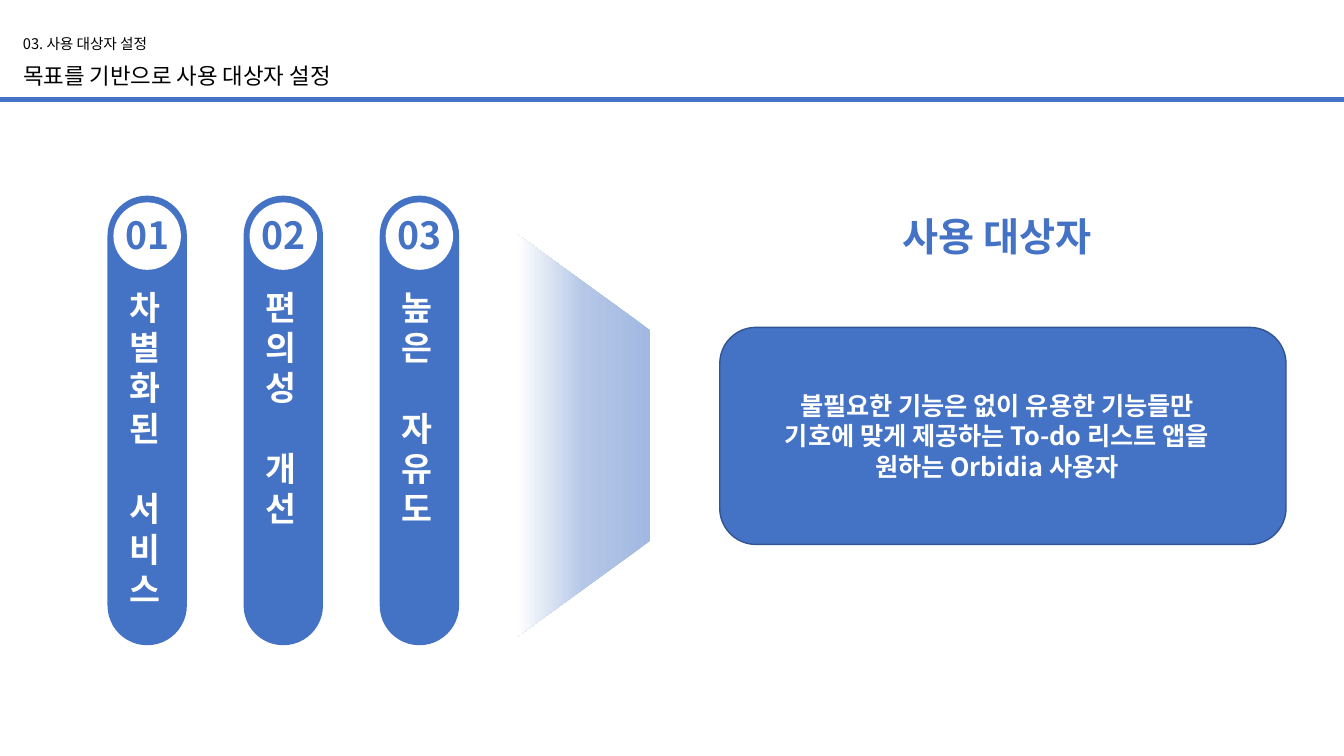
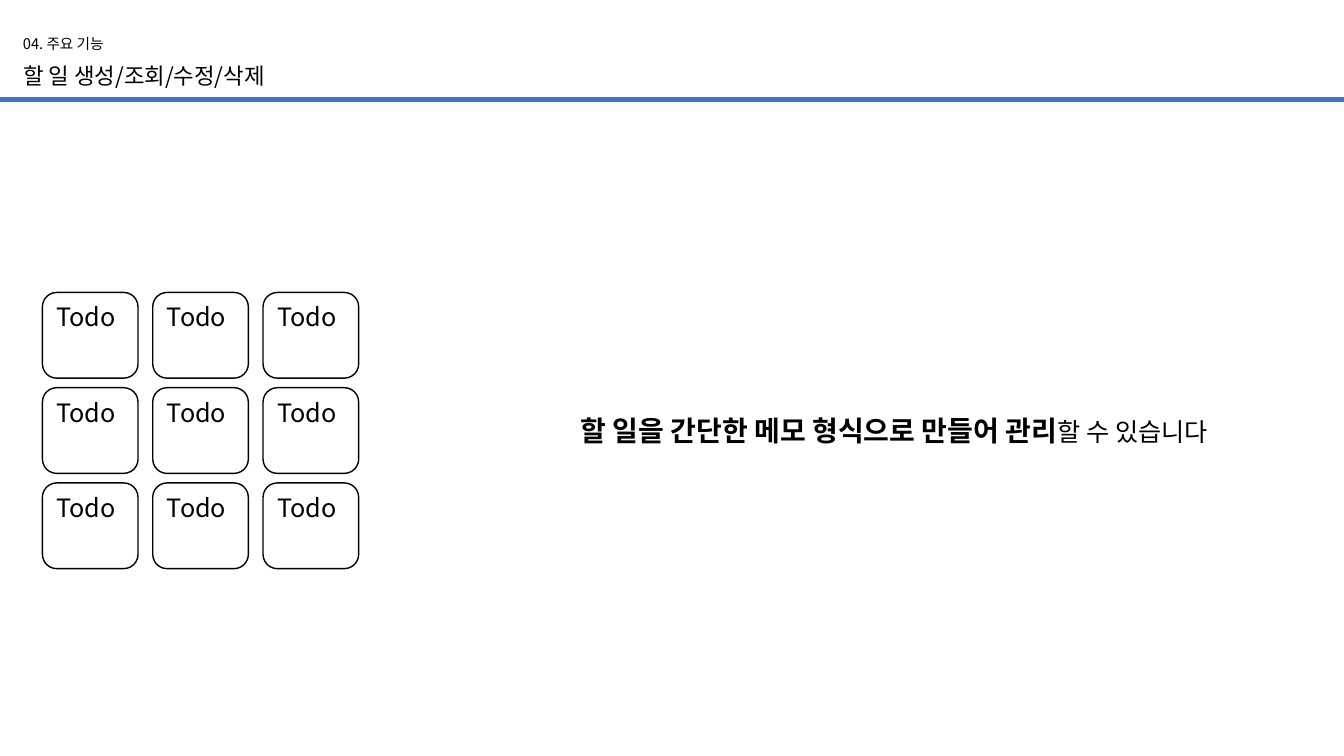
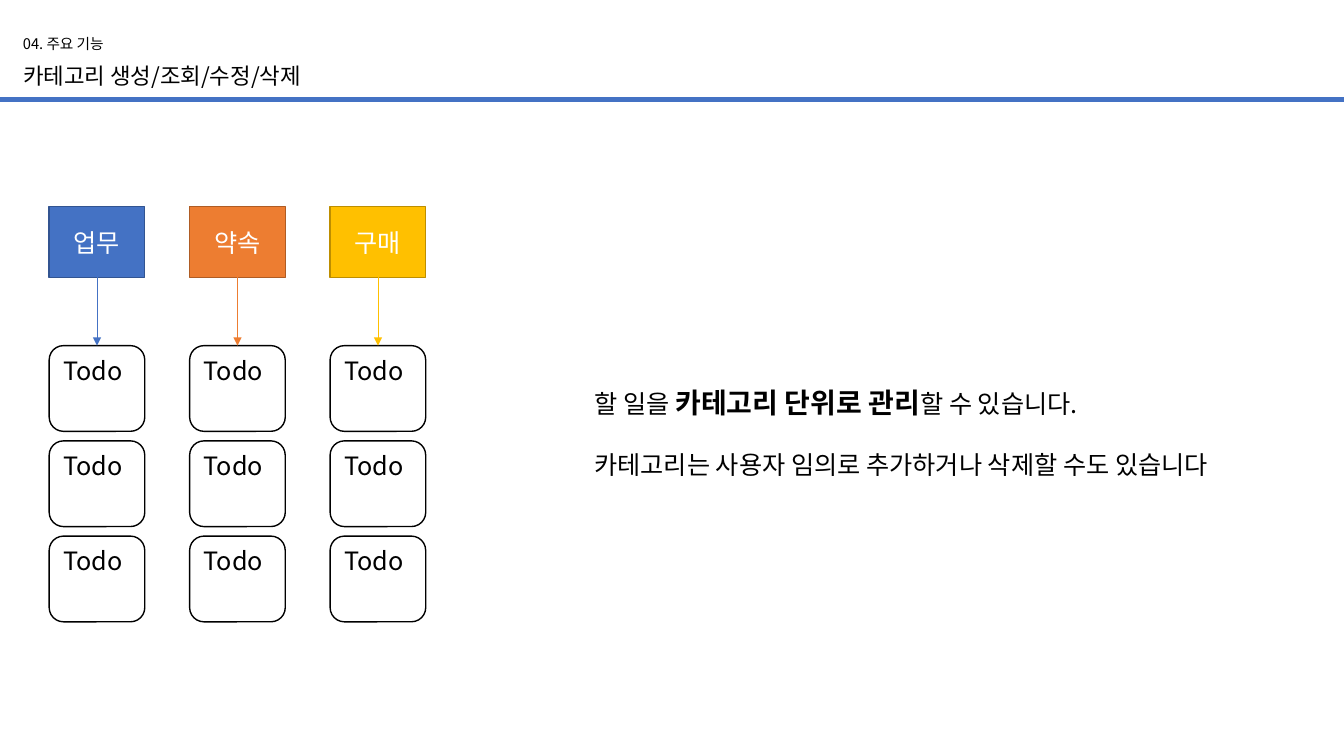
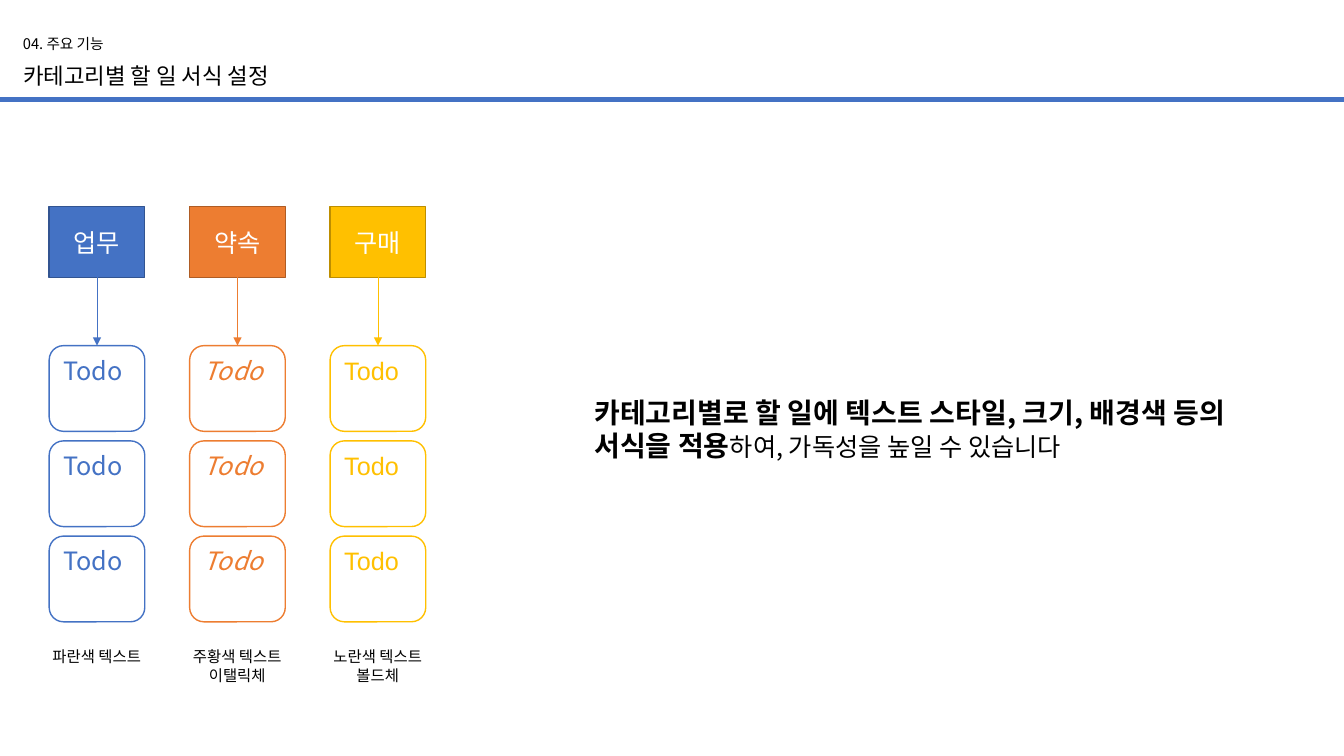
import dataclasses

import pptx
import pptx.dml.color
import pptx.enum.shapes
import pptx.enum.text
import pptx.oxml
import pptx.oxml.ns
import pptx.util
from lxml import etree

Cm = pptx.util.Cm
Pt = pptx.util.Pt
qn = pptx.oxml.ns.qn
Kind = pptx.enum.shapes.MSO_SHAPE
Anchor = pptx.enum.text.MSO_ANCHOR
Align = pptx.enum.text.PP_ALIGN


@dataclasses.dataclass(frozen=True)
class Theme:
    font: str = "Noto Sans CJK KR"
    plain: str = "Arial"
    black: str = "000000"
    white: str = "FFFFFF"
    blue: str = "4472C4"
    navy: str = "325491"
    orange: str = "ED7D31"
    rust: str = "AF5C24"
    gold: str = "FFC000"
    ochre: str = "BD8E00"
    fade: tuple = ((0, "A2B8E1"), (50, "B4C7E7"), (100, "FFFFFF"))
    tiny: float = 10.5
    note: float = 11
    title: float = 16
    text: float = 18
    strong: float = 20
    tall: float = 24
    num: float = 26.7
    head: float = 28
    lead: float = 1.2


T = Theme()

GOALS = [("01", ["차별화된", "서비스"]), ("02", ["편의성", "개선"]), ("03", ["높은", "자유도"])]
USER = "사용 대상자"
WHO = [
    "불필요한 기능은 없이 유용한 기능들만",
    "기호에 맞게 제공하는 To-do 리스트 앱을",
    "원하는 Orbidia 사용자",
]
FEATURE = "04. 주요 기능"
MEMO = [[("할 일을 간단한 메모 형식으로 만들어 관리", True), ("할 수 있습니다", False)]]
GROUP = [
    [("할 일을 ", False), ("카테고리 단위로 관리", True), ("할 수 있습니다.", False)],
    [("카테고리는 사용자 임의로 추가하거나 삭제할 수도 있습니다", False)],
]
STYLE = [
    [("카테고리별로 할 일에 텍스트 스타일, 크기, 배경색 등의", True)],
    [("서식을 적용", True), ("하여, 가독성을 높일 수 있습니다", False)],
]
KINDS = [("업무", T.blue, T.navy), ("약속", T.orange, T.rust), ("구매", T.gold, T.ochre)]
BASIC = [dict(color=T.black)] * 3
LOOKS = [
    dict(color=T.blue),
    dict(color=T.orange, ital=True),
    dict(color=T.gold, face=T.plain),
]
NOTES = [["파란색 텍스트"], ["주황색 텍스트", "이탤릭체"], ["노란색 텍스트", "볼드체"]]

CARD = (2.41, 2.16)
STEP = 2.4


def rgb(code):
    return pptx.dml.color.RGBColor.from_string(code)


def write(shape, paras, size, color=T.black, bold=False, ital=False, face=T.font,
          align=Align.LEFT, anchor=Anchor.TOP, gap=0, inset=None):
    frame = shape.text_frame
    frame.word_wrap = True
    frame.auto_size = pptx.enum.text.MSO_AUTO_SIZE.NONE
    frame.vertical_anchor = anchor
    for side, room in zip(("left", "top", "right", "bottom"), inset or (0.25, 0.13, 0.25, 0.13)):
        setattr(frame, "margin_" + side, Cm(room))
    for i, runs in enumerate(paras):
        para = frame.add_paragraph() if i else frame.paragraphs[0]
        para.alignment = align
        para.space_before = Pt(gap if i else 0)
        para.line_spacing = Pt(round(size * T.lead, 1))
        font = para.font
        font.name, font.size, font.bold, font.italic = face, Pt(size), bold, ital
        font.color.rgb = rgb(color)
        base = para._p.pPr.find(qn("a:defRPr"))
        etree.SubElement(base, qn("a:ea")).set("typeface", face)
        if isinstance(runs, str):
            para.add_run().text = runs
            continue
        for words, strong in runs:
            run = para.add_run()
            run.text = words
            run.font.bold = strong
            run.font.size = Pt(T.strong if strong else T.text)


def label(slide, box, paras, size, **look):
    shape = slide.shapes.add_textbox(*map(Cm, box))
    write(shape, paras, size, **look)


def block(slide, kind, box, fill=None, edge=None):
    shape = slide.shapes.add_shape(kind, *map(Cm, box))
    shape.shadow.inherit = False
    if fill:
        shape.fill.solid()
        shape.fill.fore_color.rgb = rgb(fill)
    if edge:
        shape.line.color.rgb = rgb(edge)
        shape.line.width = Pt(1)
    else:
        shape.line.fill.background()
    return shape


def link(slide, ends, color, width):
    line = slide.shapes.add_connector(pptx.enum.shapes.MSO_CONNECTOR.STRAIGHT, *map(Cm, ends))
    line.line.color.rgb = rgb(color)
    line.line.width = Pt(width)
    etree.SubElement(line._element.spPr, qn("a:effectLst"))
    return line


def place(shape, box):
    shape.left, shape.top, shape.width, shape.height = map(Cm, box)


def start(deck, part, title, body=None):
    slide = deck.slides.add_slide(deck.slide_layouts[1 if body else 5])
    link(slide, (0, 2.51, 33.87, 2.51), T.blue, 3)
    label(slide, (0.33, 0.74, 12, 0.74), [part], T.tiny)
    place(slide.shapes.title, (0.33, 1.43, 20, 0.94))
    write(slide.shapes.title, [title], T.title)
    if body:
        paras, box, gap = body
        hold = slide.placeholders[1]
        place(hold, box)
        write(hold, paras, T.strong, gap=gap)
        for para in hold.text_frame.paragraphs:
            props = para._p.pPr
            props.set("marL", "0")
            props.set("indent", "0")
            props.find(qn("a:defRPr")).addprevious(etree.Element(qn("a:buNone")))
    return slide


def funnel(slide):
    shape = block(slide, Kind.TRAPEZOID, (9.65, 9.3, 10.13, 3.35))
    shape.rotation = 90
    shape.adjustments[0] = 0.72
    grad = etree.Element(qn("a:gradFill"), rotWithShape="1")
    stops = etree.SubElement(grad, qn("a:gsLst"))
    for pos, code in T.fade:
        stop = etree.SubElement(stops, qn("a:gs"), pos=str(pos * 1000))
        etree.SubElement(stop, qn("a:srgbClr"), val=code)
    etree.SubElement(grad, qn("a:lin"), ang="5400000", scaled="0")
    shape._element.spPr.find(qn("a:prstGeom")).addnext(grad)


def goals(slide):
    for i, (num, words) in enumerate(GOALS):
        left = 2.71 + i * 3.43
        pill = block(slide, Kind.ROUNDED_RECTANGLE, (left, 4.93, 2, 11.33), T.blue)
        pill.adjustments[0] = 0.5
        disc = block(slide, Kind.OVAL, (left + 0.15, 5.1, 1.7, 1.7), T.white)
        write(disc, [num], T.num, color=T.blue, bold=True, align=Align.CENTER,
              anchor=Anchor.MIDDLE, inset=(0, 0, 0, 0.1))
        disc.text_frame.word_wrap = False
        label(slide, (left + 0.3, 7.09, 0.9, 8.46), words, T.tall, color=T.white,
              bold=True, gap=T.tall * T.lead)


def users(slide):
    label(slide, (17.83, 5.21, 14.6, 1.45), [USER], T.head, color=T.blue,
          bold=True, align=Align.CENTER)
    box = block(slide, Kind.ROUNDED_RECTANGLE, (18.14, 8.25, 14.27, 5.47), T.blue, T.navy)
    write(box, WHO, T.text, color=T.white, bold=True, align=Align.CENTER,
          anchor=Anchor.MIDDLE, inset=(0.25, 0.13, 0.55, 0.13))


def cards(slide, left, top, pitch, looks):
    first = []
    for row in range(3):
        for col, look in enumerate(looks):
            card = block(slide, Kind.ROUNDED_RECTANGLE,
                         (left + col * pitch, top + row * STEP, *CARD), T.white, look["color"])
            write(card, ["Todo"], T.text, **look)
            if row == 0:
                first.append(card)
    return first


def groups(slide, looks):
    left, pitch = 1.24, 3.54
    first = cards(slide, left, 8.71, pitch, looks)
    for i, ((name, fill, edge), card) in enumerate(zip(KINDS, first)):
        tag = block(slide, Kind.RECTANGLE, (left + i * pitch, 5.21, CARD[0], 1.78), fill, edge)
        write(tag, [name], T.text, color=T.white, align=Align.CENTER, anchor=Anchor.MIDDLE)
        arrow = link(slide, (0, 0, 0, 0), fill, 0.5)
        arrow.begin_connect(tag, 2)
        arrow.end_connect(card, 0)
        etree.SubElement(arrow.line._get_or_add_ln(), qn("a:tailEnd"), type="triangle")


def main():
    deck = pptx.Presentation()
    deck.slide_width, deck.slide_height = Cm(33.87), Cm(19.05)

    slide = start(deck, "03. 사용 대상자 설정", "목표를 기반으로 사용 대상자 설정")
    funnel(slide)
    goals(slide)
    users(slide)

    slide = start(deck, FEATURE, "할 일 생성/조회/수정/삭제",
                  (MEMO, (14.38, 10.29, 18.8, 1.12), 0))
    cards(slide, 1.07, 7.37, 2.78, BASIC)

    slide = start(deck, FEATURE, "카테고리 생성/조회/수정/삭제",
                  (GROUP, (14.73, 9.58, 18.6, 2.64), 19.5))
    groups(slide, BASIC)

    slide = start(deck, FEATURE, "카테고리별 할 일 서식 설정",
                  (STYLE, (14.73, 9.83, 18.6, 1.96), 0))
    groups(slide, LOOKS)
    for i, lines in enumerate(NOTES):
        label(slide, (0.94 + i * 3.54, 16.18, 3, 1.19), lines, T.note,
              align=Align.CENTER, inset=(0, 0.13, 0, 0.13))

    deck.save("out.pptx")


if __name__ == "__main__":
    main()
